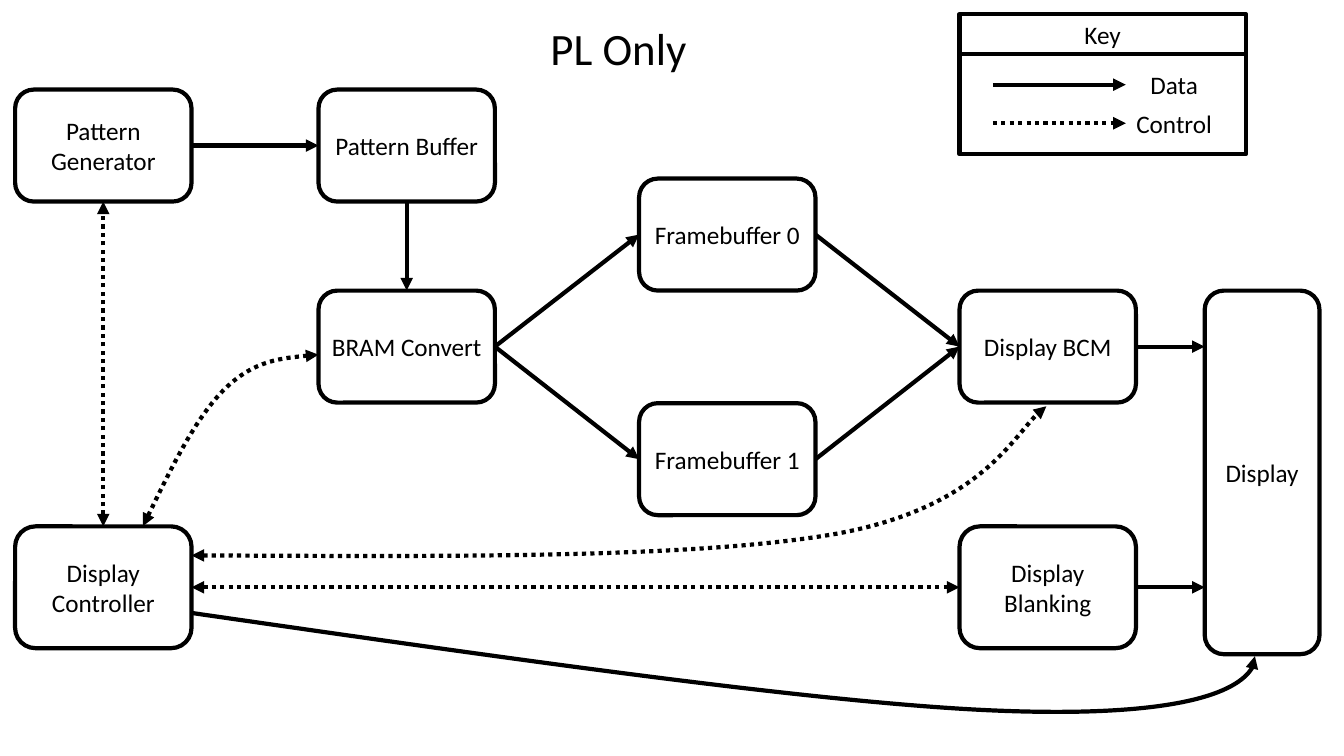
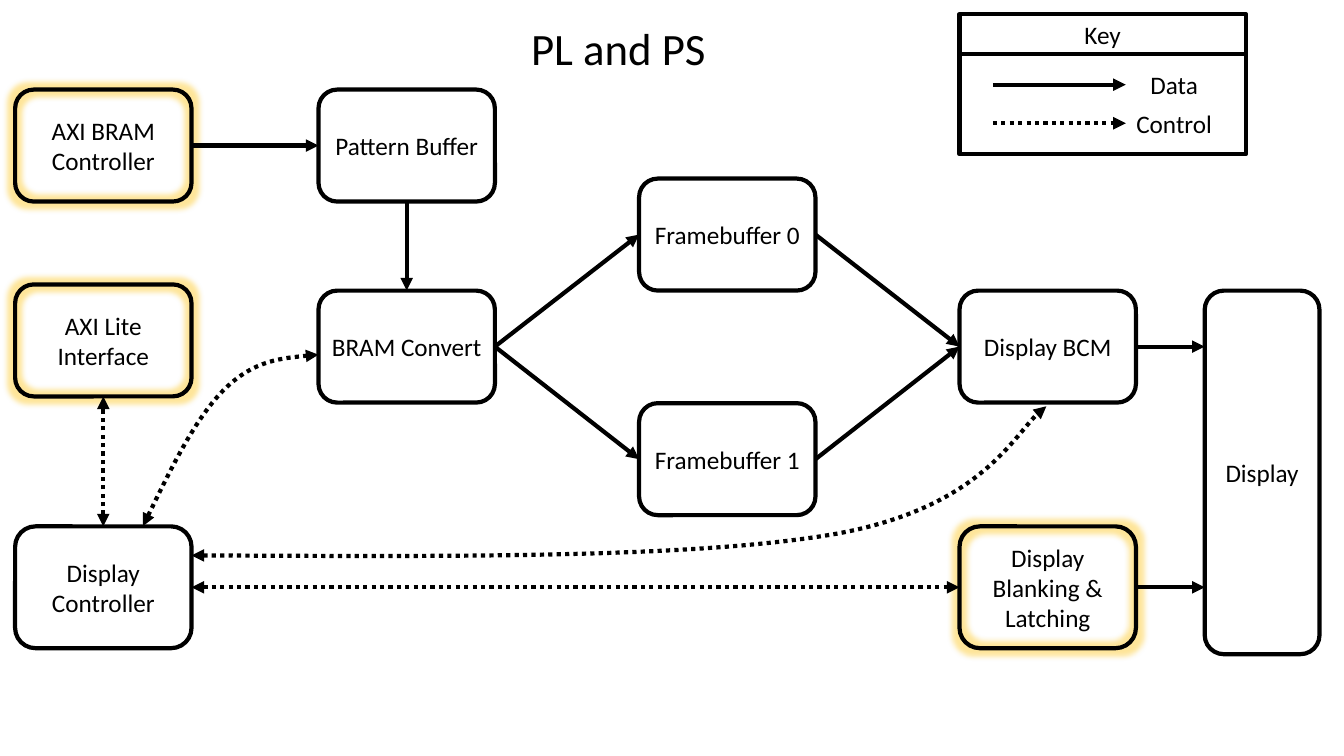
from collections import namedtuple

from lxml import etree
from pptx import Presentation
from pptx import util as u
from pptx.dml.color import RGBColor
from pptx.enum import dml, shapes, text
from pptx.oxml.ns import qn

Pt = u.Pt
Box = namedtuple("Box", "left top width height")

INK, GLOW = "000000", "FFC000"
FONT, LABEL_SIZE, TITLE_SIZE = "Calibri", 18, 32
LINE_WIDTH = 3
NODE_W, NODE_H, TALL_H = 126, 80, 87
TOP, LEFT, BOTTOM, RIGHT = range(4)  # connection sites of a node

TITLE = Box(297.4, 11.5, 288.7, 46)
KEY = Box(685.4, 10.1, 204.5, 100.1)
DIAGRAM = Box(10.8, 64, 931.7, 403.3)


def color(hex_string):
    return RGBColor.from_string(hex_string)


def write(frame, words, size=LABEL_SIZE, anchor=text.MSO_ANCHOR.MIDDLE):
    frame.word_wrap = True
    frame.vertical_anchor = anchor
    frame.margin_left = frame.margin_right = Pt(2)
    paragraph = frame.paragraphs[0]
    paragraph.alignment = text.PP_ALIGN.CENTER
    run = paragraph.add_run()
    run.text = words
    run.font.name, run.font.size = FONT, Pt(size)
    run.font.color.rgb = color(INK)


def label(slide, box, words, **style):
    textbox = slide.shapes.add_textbox(*map(Pt, box))
    write(textbox.text_frame, words, **style)


def stroke(shape, dotted=False, heads=()):
    """Draw the outline, with arrowheads at the named ends."""
    shape.line.color.rgb = color(INK)
    shape.line.width = Pt(LINE_WIDTH)
    if dotted:
        shape.line.dash_style = dml.MSO_LINE.ROUND_DOT
    ln = shape._element.xpath(".//a:ln")[0]
    for end in heads:
        etree.SubElement(ln, qn(f"a:{end}"), type="triangle")


def frame_box(slide, box, words="", preset=shapes.MSO_SHAPE.ROUNDED_RECTANGLE,
              glowing=False):
    shape = slide.shapes.add_shape(preset, *map(Pt, box))
    shape.fill.background()
    stroke(shape)
    shape.shadow.inherit = False
    if glowing:
        effects = shape._element.xpath(".//a:effectLst")[0]
        glow = etree.SubElement(effects, qn("a:glow"), rad=str(Pt(8)))
        tint = etree.SubElement(glow, qn("a:srgbClr"), val=GLOW)
        etree.SubElement(tint, qn("a:alpha"), val="40000")
    if words:
        write(shape.text_frame, words)
    return shape


def ends(both):
    return ("headEnd", "tailEnd") if both else ("tailEnd",)


def arrow(slide, start, end, control=False, both=False):
    """Each end is an (x, y) point or a (node, site) pair."""
    line = slide.shapes.add_connector(shapes.MSO_CONNECTOR.STRAIGHT, 0, 0, 0, 0)
    if isinstance(start[0], (int, float)):
        line.begin_x, line.begin_y = map(Pt, start)
    else:
        line.begin_connect(*start)
    if isinstance(end[0], (int, float)):
        line.end_x, line.end_y = map(Pt, end)
    else:
        line.end_connect(*end)
    stroke(line, control, ends(both))
    etree.SubElement(line._element.spPr, qn("a:effectLst"))


def curve(slide, box, points, control=False, both=False):
    """Bezier arrow; after the start, every three points make one segment."""
    start, *rest = [(Pt(box.left + x), Pt(box.top + y)) for x, y in points]
    builder = slide.shapes.build_freeform(*start)
    builder.add_line_segments(rest, close=False)
    shape = builder.convert_to_shape()
    steps = shape._element.xpath(".//a:lnTo")
    outline = steps[0].getparent()
    for i in range(0, len(steps), 3):
        bezier = etree.SubElement(outline, qn("a:cubicBezTo"))
        for step in steps[i:i + 3]:
            bezier.append(step[0])
            outline.remove(step)
    shape.fill.background()
    stroke(shape, control, ends(both))
    shape.shadow.inherit = False


def key(slide, box):
    header = 28.4
    rect = shapes.MSO_SHAPE.RECTANGLE
    frame_box(slide, Box(box.left, box.top + header, box.width,
                         box.height - header), preset=rect)
    frame_box(slide, box._replace(height=header), "Key", preset=rect)
    line_left, line_right = box.left + 23.8, box.left + 118.8
    for row, name in enumerate(("Data", "Control")):
        y = box.top + 50.4 + row * 27.6
        arrow(slide, (line_left, y), (line_right, y), control=name == "Control")
        label(slide, Box(line_right, y - 14.4, 69, 28.8), name)


def diagram(slide, box, source, blanking, glowing=False, interface=None):
    columns = [box.left + x for x in (0, 216.7, 445.7, 674.6)]
    rows = [box.top + y for y in (0, 63.6, 143.6, 224, 312)]

    def node(column, row, words, height=NODE_H, glowing=False):
        place = Box(columns[column], rows[row], NODE_W, height)
        return frame_box(slide, place, words, glowing=glowing)

    # Nodes
    generator = node(0, 0, source, glowing=glowing)
    pattern_buffer = node(1, 0, "Pattern Buffer")
    convert = node(1, 2, "BRAM Convert")
    framebuffers = [node(2, 1, "Framebuffer 0"), node(2, 3, "Framebuffer 1")]
    bcm = node(3, 2, "Display BCM")
    controller = node(0, 4, "Display Controller", TALL_H)
    blanker = node(3, 4, blanking, TALL_H, glowing)
    display_left = box.left + box.width - 82
    frame_box(slide, Box(display_left, rows[2], 82, box.height - 143.6), "Display")

    # Data flow
    arrow(slide, (generator, RIGHT), (pattern_buffer, LEFT))
    arrow(slide, (pattern_buffer, BOTTOM), (convert, TOP))
    for framebuffer in framebuffers:
        arrow(slide, (convert, RIGHT), (framebuffer, LEFT))
        arrow(slide, (framebuffer, RIGHT), (bcm, LEFT))
    for feeder, y in ((bcm, rows[2] + NODE_H / 2), (blanker, rows[4] + TALL_H / 2)):
        arrow(slide, (feeder, RIGHT), (display_left, y))

    # Control flow
    controlled = generator
    if interface:
        controlled = frame_box(slide, Box(box.left, box.top + 139.2, NODE_W, NODE_H),
                               interface, glowing=glowing)
    arrow(slide, (controller, TOP), (controlled, BOTTOM), control=True, both=True)
    arrow(slide, (controller, RIGHT), (blanker, LEFT), control=True, both=True)
    to_bcm = [(126, 332.7), (304.6, 333.4), (483.1, 334.9), (584.6, 317.6),
              (686.9, 299.6), (719.3, 237), (736.6, 226.2)]
    to_convert = [(91.4, 311.8), (110.2, 273), (129.6, 233.4), (150.5, 213.2),
                  (171.4, 193), (199.4, 190.9), (216.7, 189.4)]
    for points in (to_bcm, to_convert):
        curve(slide, box, points, control=True, both=True)


def controller_to_display(slide, box):
    curve(slide, box, [(126, 373.8), (350.6, 406.2), (576, 438.6), (702, 443.6),
                       (828.7, 448.6), (888.5, 426.3), (885.6, 404.7)])


def architecture_slide(prs, title, **parts):
    slide = prs.slides.add_slide(prs.slide_layouts[6])
    label(slide, TITLE, title, size=TITLE_SIZE, anchor=text.MSO_ANCHOR.TOP)
    key(slide, KEY)
    diagram(slide, DIAGRAM, **parts)
    return slide


prs = Presentation()
prs.slide_width, prs.slide_height = Pt(960), Pt(540)

pl_only = architecture_slide(prs, "PL Only", source="Pattern Generator",
                             blanking="Display Blanking")
controller_to_display(pl_only, DIAGRAM)

architecture_slide(prs, "PL and PS", source="AXI BRAM Controller",
                   blanking="Display Blanking & Latching", glowing=True,
                   interface="AXI Lite Interface")

prs.save("out.pptx")
